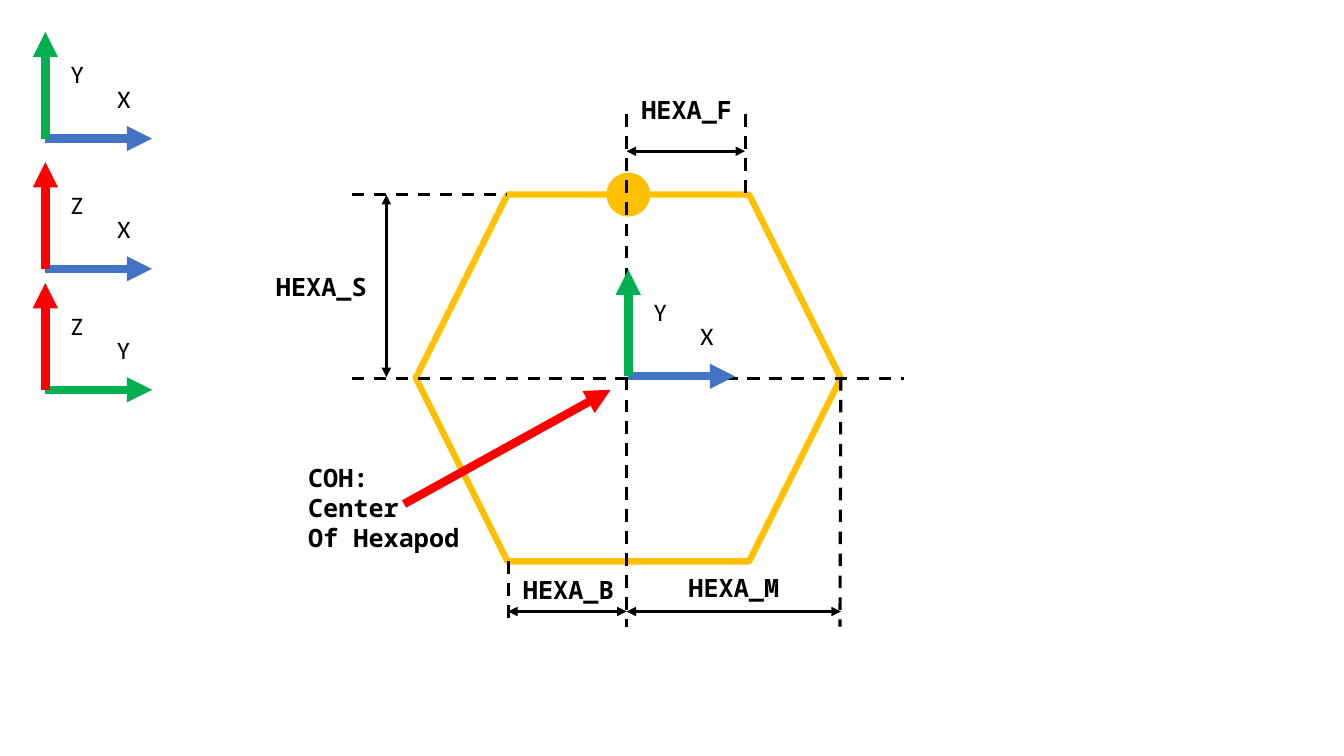
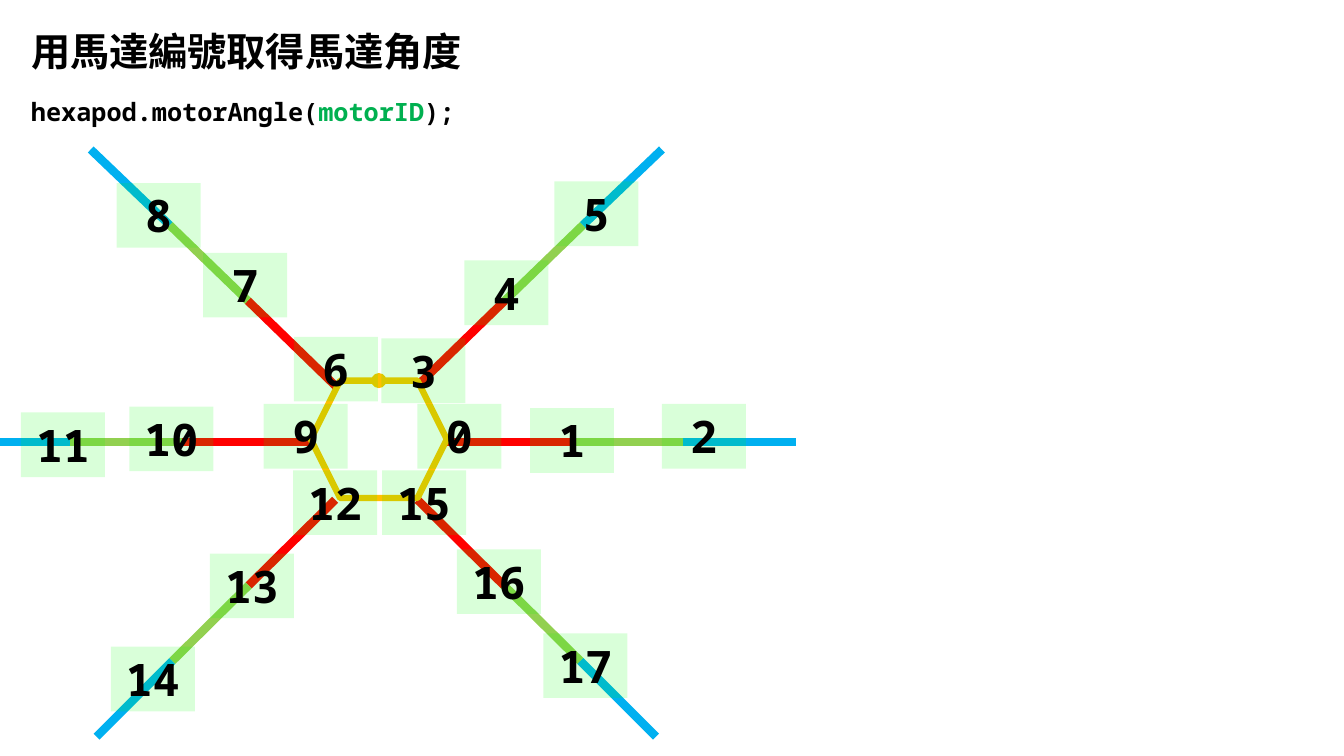
from dataclasses import dataclass
from itertools import pairwise

from lxml import etree
from pptx import Presentation
from pptx.dml.color import RGBColor
from pptx.enum.dml import MSO_LINE
from pptx.enum.shapes import MSO_CONNECTOR, MSO_SHAPE
from pptx.enum.text import MSO_ANCHOR, MSO_AUTO_SIZE, PP_ALIGN
from pptx.oxml.ns import qn
from pptx.shapes.base import BaseShape
from pptx.slide import Slide
from pptx.util import Inches, Pt

STRAIGHT = MSO_CONNECTOR.STRAIGHT
HEXAGON, ELLIPSE = MSO_SHAPE.HEXAGON, MSO_SHAPE.OVAL
DASH = MSO_LINE.DASH
LEFT, CENTER = PP_ALIGN.LEFT, PP_ALIGN.CENTER
TOP = MSO_ANCHOR.TOP
GROW = MSO_AUTO_SIZE.SHAPE_TO_FIT_TEXT

# The slide is a grid of 160 columns by 90 rows; cells are square.
SLIDE_W, SLIDE_H = Inches(13.33), Inches(7.5)
COLS, ROWS = 160, 90

BLACK, RED, GREEN, BLUE = "000000", "FF0000", "00B050", "4472C4"
GOLD, LIME, SKY, TAG = "FFC000", "92D050", "00B0F0", "00FF00"
MONO, SANS, CJK = "Noto Sans Mono", "Calibri", "Noto Sans CJK SC"
THICK, BODY, THIN = 6, 4.5, 2.25

Point = tuple[float, float]


@dataclass(frozen=True)
class Run:
    """A piece of text in one format."""
    text: str
    size: float = 18
    font: str = MONO
    color: str = BLACK
    bold: bool = True


@dataclass(frozen=True)
class Axes:
    """A pair of axis arrows with their names and colours."""
    origin: Point
    across: str
    across_color: str
    up: str
    up_color: str


@dataclass(frozen=True)
class Label:
    """A dimension name and the corner of its box."""
    text: str
    at: Point


def x(cols: float) -> int:
    """Turn grid columns into a length."""
    return round(SLIDE_W * cols / COLS)


def y(rows: float) -> int:
    """Turn grid rows into a length."""
    return round(SLIDE_H * rows / ROWS)


def rgb(color: str) -> RGBColor:
    """Turn a hex string into a colour."""
    return RGBColor.from_string(color)


def line(s: Slide, start: Point, end: Point, color: str = BLACK,
         width: float = THIN, dashed: bool = False,
         ends: tuple[str, ...] = ()) -> None:
    """Draw a line, with arrowheads at the named ends."""
    c = s.shapes.add_connector(STRAIGHT, x(start[0]), y(start[1]),
                               x(end[0]), y(end[1]))
    c.line.color.rgb = rgb(color)
    c.line.width = Pt(width)
    if dashed:
        c.line.dash_style = DASH
    ln = c.line._get_or_add_ln()
    for name in ends:
        etree.SubElement(ln, qn(f"a:{name}"), type="triangle")
    etree.SubElement(c._element.spPr, qn("a:effectLst"))


def write(sp: BaseShape, paragraphs: list[list[Run]],
          align: PP_ALIGN = LEFT) -> None:
    """Fill a shape with paragraphs, run by run."""
    tf = sp.text_frame
    tf.word_wrap = True
    tf.auto_size = GROW
    tf.vertical_anchor = TOP
    for i, runs in enumerate(paragraphs):
        p = tf.add_paragraph() if i else tf.paragraphs[0]
        p.alignment = align
        for run in runs:
            r = p.add_run()
            r.text = run.text
            r.font.size = Pt(run.size)
            r.font.bold = run.bold
            r.font.color.rgb = rgb(run.color)
            r.font.name = run.font
            etree.SubElement(r._r.get_or_add_rPr(), qn("a:ea"),
                             typeface=run.font)


def text_box(s: Slide, at: Point, size: Point, paragraphs: list[list[Run]],
             align: PP_ALIGN = LEFT) -> BaseShape:
    """Add a text box."""
    sp = s.shapes.add_textbox(x(at[0]), y(at[1]), x(size[0]), y(size[1]))
    write(sp, paragraphs, align)
    return sp


def outline(s: Slide, kind: MSO_SHAPE, center: Point, size: Point,
            width: float) -> BaseShape:
    """Add an unfilled gold shape around a centre."""
    (cx, cy), (w, h) = center, size
    sp = s.shapes.add_shape(kind, x(cx - w / 2), y(cy - h / 2), x(w), y(h))
    sp.shadow.inherit = False
    sp.fill.background()
    sp.line.color.rgb = rgb(GOLD)
    sp.line.width = Pt(width)
    return sp


def hexapod(s: Slide, center: Point, width: float) -> None:
    """Draw the hexapod body with the dot that marks its front."""
    height, dot = 0.863 * width, 0.1 * width
    outline(s, HEXAGON, center, (width, height), BODY)
    front = (center[0], center[1] - height / 2)
    sp = outline(s, ELLIPSE, front, (dot, dot), 1)
    sp.fill.solid()
    sp.fill.fore_color.rgb = rgb(GOLD)


def draw_axes(s: Slide, axes: Axes) -> None:
    """Draw two axis arrows and their names."""
    cx, cy = axes.origin
    arm = 12.7
    for end, color in (((cx + arm, cy), axes.across_color),
                       ((cx, cy - arm), axes.up_color)):
        line(s, axes.origin, end, color, THICK, ends=("tailEnd",))
    for name, dx, dy in ((axes.up, 1.9, 10.1), (axes.across, 7.4, 7.2)):
        text_box(s, (cx + dx, cy - dy), (5.3, 4.8),
                 [[Run(name, font=SANS, bold=False)]])


def motor_tag(s: Slide, number: int, at: Point) -> None:
    """Add a motor number on a translucent green tag."""
    sp = text_box(s, at, (10, 7.7), [[Run(str(number), 32)]], CENTER)
    sp.fill.solid()
    sp.fill.fore_color.rgb = rgb(TAG)
    clr = sp._element.spPr.find(f".//{qn('a:srgbClr')}")
    etree.SubElement(clr, qn("a:alpha"), val="15000")


MID_X, MID_Y = 74.6, 45.1
TOP_Y, FOOT_Y, GUIDE_TOP, DIM_Y = 23.2, 74.6, 13.6, 72.8
F_X, M_X, B_X = 88.7, 100.1, 60.5

VIEWS = [
    Axes((5.4, 16.5), "X", BLUE, "Y", GREEN),
    Axes((5.4, 32), "X", BLUE, "Z", RED),
    Axes((5.4, 46.4), "Y", GREEN, "Z", RED),
]
CENTER_AXES = Axes((74.8, 44.8), "X", BLUE, "Y", GREEN)
CENTER_LINES = [
    ((41.9, MID_Y), (107.6, MID_Y)),
    ((MID_X, GUIDE_TOP), (MID_X, FOOT_Y)),
]
GUIDES = [
    ((F_X, GUIDE_TOP), (F_X, TOP_Y)),
    ((M_X, 45), (100, FOOT_Y)),
    ((41.9, TOP_Y), (60.4, TOP_Y)),
    ((B_X, 66.8), (B_X, FOOT_Y)),
]
DIMENSIONS = [
    ((46, TOP_Y), (46, 44.9)),
    ((MID_X, DIM_Y), (M_X, DIM_Y)),
    ((MID_X, 18), (F_X, 18)),
    ((B_X, DIM_Y), (MID_X, DIM_Y)),
]
LABELS = [
    Label("HEXA_F", (73.6, 10.6)),
    Label("HEXA_M", (79.2, 67.6)),
    Label("HEXA_S", (30.1, 31.7)),
    Label("HEXA_B", (59.5, 67.8)),
]

SEGMENTS = (RED, LIME, SKY)
MIRROR = 89.6
RIGHT_LEGS = [
    [(49.6, 46), (60.1, 35.8), (69.4, 26.8), (78.8, 17.8)],
    [(52.7, 52.6), (67.9, 52.6), (81.3, 52.6), (94.8, 52.6)],
    [(49.7, 59.5), (60, 69.7), (69.1, 78.7), (78.1, 87.7)],
]
MOTORS = [
    (49.7, 48.1), (63.1, 48.6), (78.8, 48.1),
    (45.4, 40.3), (55.3, 31), (66, 21.6),
    (35, 40.1), (24.2, 30.1), (13.9, 21.8),
    (31.4, 48.1), (15.4, 48.4), (2.5, 49.1),
    (34.9, 56), (25, 65.9), (13.2, 77),
    (45.5, 56), (54.4, 65.4), (64.7, 75.4),
]


def dimensions_slide(prs: Presentation) -> None:
    """Show the body dimensions and the axes."""
    s = prs.slides.add_slide(prs.slide_layouts[6])
    hexapod(s, (74.8, 45), 50.6)
    for view in VIEWS:
        draw_axes(s, view)
    for start, end in CENTER_LINES:
        line(s, start, end, dashed=True)
    draw_axes(s, CENTER_AXES)
    for start, end in GUIDES:
        line(s, start, end, dashed=True)
    for start, end in DIMENSIONS:
        line(s, start, end, ends=("headEnd", "tailEnd"))
    for label in LABELS:
        text_box(s, label.at, (16.3, 4.8), [[Run(label.text)]], CENTER)
    line(s, (48.1, 60), (72.7, 46.4), RED, THICK, ends=("tailEnd",))
    text_box(s, (35.5, 54.4), (32, 12.1),
             [[Run(t)] for t in ("COH:", "Center ", "Of Hexapod")])


def motors_slide(prs: Presentation) -> None:
    """Show the number of each motor on the six legs."""
    s = prs.slides.add_slide(prs.slide_layouts[5])
    title = s.shapes.title
    title.left, title.top = x(2.5), y(2.6)
    title.width, title.height = x(76.1), y(6.8)
    write(title, [[Run("用馬達編號取得馬達角度", 28, CJK)]])
    text_box(s, (2.5, 10.9), (63.5, 4.8), [[
        Run("hexapod.motorAngle("), Run("motorID", color=GREEN), Run(");")]])
    left_legs = [[(MIRROR - px, py) for px, py in leg] for leg in RIGHT_LEGS]
    for leg in RIGHT_LEGS + left_legs:
        for (start, end), color in zip(pairwise(leg), SEGMENTS):
            line(s, start, end, color, THICK)
    hexapod(s, (45.1, 52.3), 16.2)
    for number, at in enumerate(MOTORS):
        motor_tag(s, number, at)


def main() -> None:
    """Build and save the presentation."""
    prs = Presentation()
    prs.slide_width, prs.slide_height = SLIDE_W, SLIDE_H
    dimensions_slide(prs)
    motors_slide(prs)
    prs.save("out.pptx")


main()
